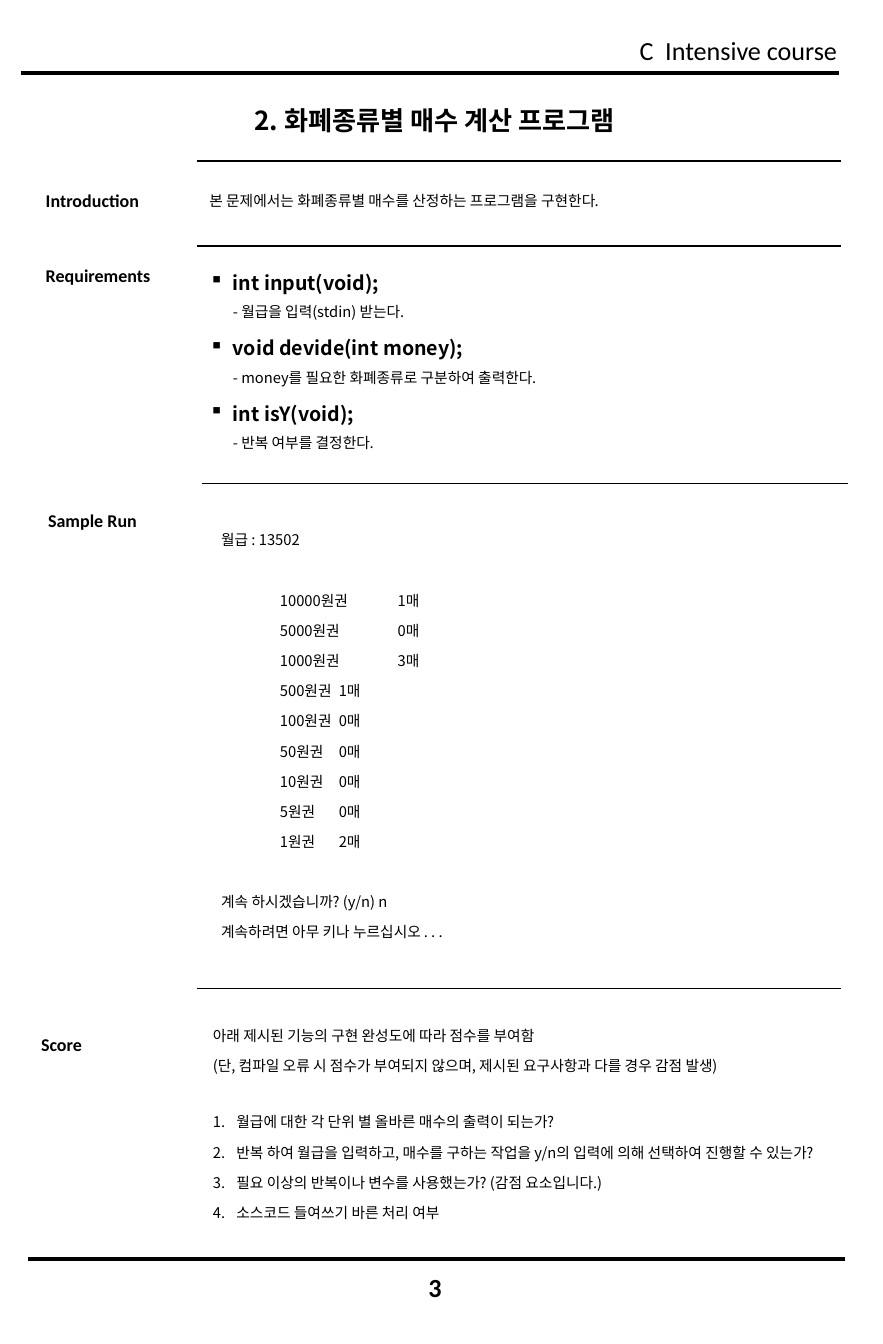
from lxml.etree import SubElement
from pptx import Presentation
from pptx.dml.color import RGBColor
from pptx.enum.shapes import MSO_CONNECTOR
from pptx.enum.text import PP_ALIGN
from pptx.oxml import parse_xml
from pptx.oxml.ns import nsdecls, qn
from pptx.util import Pt

PX = 9144  # 100 px to the inch
COLORS = {"ink": "000000"}
INK = RGBColor.from_string(COLORS["ink"])
LATIN, KOREAN = "Calibri", "Noto Sans CJK KR"
HANG = 20

prs = Presentation()
prs.slide_width, prs.slide_height = 750 * PX, 1142 * PX
s = prs.slides.add_slide(prs.slide_layouts[6])


def add_text(x, y, w, h, lines, size, name=KOREAN, bold=False,
             align=PP_ALIGN.LEFT, spacing=None, before=0):
    """Add a wrapped text box with one paragraph per line; return its paragraphs."""
    tf = s.shapes.add_textbox(x * PX, y * PX, w * PX, h * PX).text_frame
    tf.word_wrap = True
    for i, line in enumerate(lines):
        p = tf.paragraphs[0] if i == 0 else tf.add_paragraph()
        p.text = line
        p.alignment = align
        p.line_spacing = spacing
        p.space_before = Pt(before)
        p.font.size, p.font.bold, p.font.name = Pt(size), bold, name
        p.font.color.rgb = INK
        SubElement(p._p.pPr.find(qn("a:defRPr")), qn("a:ea"), typeface=name)
    return tf.paragraphs


def add_props(p, xml, indent=0):
    """Put bullet or tab elements, in schema order, before the paragraph's font."""
    pPr = p._p.pPr
    pPr.set("marL", str(indent * PX))
    pPr.set("indent", str(-indent * PX))
    for element in list(parse_xml(f"<a:pPr {nsdecls('a')}>{xml}</a:pPr>")):
        pPr.find(qn("a:defRPr")).addprevious(element)


# Rules: page header and footer, then section dividers
for x1, x2, y, weight in [(18, 713, 62, 2.25), (24, 718, 1070, 2.25),
                          (167, 714, 137, 1), (167, 714, 209, 1),
                          (172, 720, 411, 1), (167, 714, 840, 1)]:
    rule = s.shapes.add_connector(MSO_CONNECTOR.STRAIGHT, x1 * PX, y * PX, x2 * PX, y * PX)
    rule.line.color.rgb = INK
    rule.line.width = Pt(weight)
    SubElement(rule._element.spPr, qn("a:effectLst"))

# Header, title and page number
add_text(381, 24, 340, 37, ["C  Intensive course"], 16, LATIN, align=PP_ALIGN.RIGHT)
add_text(31, 84, 676, 37, ["2. 화폐종류별 매수 계산 프로그램"], 16, bold=True,
         align=PP_ALIGN.CENTER)
add_text(240, 1075, 259, 36, ["3"], 16, LATIN, True, PP_ALIGN.CENTER)

# Section labels
for label, x, y in [("Introduction", 29, 156), ("Requirements", 29, 220),
                    ("Sample Run", 31, 428), ("Score", 25, 873)]:
    add_text(x, y, 142, 43, [label], 11, LATIN, True, before=2.8)

# Introduction
add_text(168, 155, 550, 28, ["본 문제에서는 화폐종류별 매수를 산정하는 프로그램을 구현한다."], 9,
         align=PP_ALIGN.JUSTIFY, spacing=1.2, before=2.2)

# Requirements
requirements = [
    ("int input(void);", "- 월급을 입력(stdin) 받는다."),
    ("void devide(int money);", "- money를 필요한 화폐종류로 구분하여 출력한다."),
    ("int isY(void);", "- 반복 여부를 결정한다."),
]
for p in add_text(168, 215, 546, 174, [f"{sig}\v{note}" for sig, note in requirements],
                  9, spacing=1.5, before=2.2):
    signature = p.runs[0]
    signature.font.size, signature.font.bold = Pt(12), True
    add_props(p, f'<a:buClr><a:srgbClr val="{COLORS["ink"]}"/></a:buClr>'
                 '<a:buChar char="▪"/>', indent=HANG)

# Sample run
counts = [(10000, 1), (5000, 0), (1000, 3), (500, 1), (100, 0),
          (50, 0), (10, 0), (5, 0), (1, 2)]
output = ["월급 : 13502",
          *[f"\t{won}원권\t{count}매" for won, count in counts],
          "계속 하시겠습니까? (y/n) n",
          "계속하려면 아무 키나 누르십시오 . . ."]
sample = add_text(178, 439, 546, 367, output, 9, spacing=1.5, before=2.2)
for p, (won, count) in zip(sample[1:], counts):
    digits = len(str(won))
    stops = [(6 - digits) * 2.8, 55.5 + digits * 4.4]
    tabs = "".join(f'<a:tab pos="{round(stop * PX)}" algn="l"/>' for stop in stops)
    add_props(p, f"<a:tabLst>{tabs}</a:tabLst>")
for p in (sample[1], sample[-2]):
    p.space_before = Pt(20.6)

# Score
criteria = [
    "월급에 대한 각 단위 별 올바른 매수의 출력이 되는가?",
    "반복 하여 월급을 입력하고, 매수를 구하는 작업을 y/n의 입력에 의해 선택하여 진행할 수 있는가?",
    "필요 이상의 반복이나 변수를 사용했는가? (감점 요소입니다.)",
    "소스코드 들여쓰기 바른 처리 여부",
]
score = add_text(171, 860, 546, 206, [
    "아래 제시된 기능의 구현 완성도에 따라 점수를 부여함",
    "(단, 컴파일 오류 시 점수가 부여되지 않으며, 제시된 요구사항과 다를 경우 감점 발생)",
    *criteria], 9, spacing=1.5, before=2.2)
for p in score[2:]:
    add_props(p, '<a:buFont typeface="+mj-lt"/><a:buAutoNum type="arabicPeriod"/>',
              indent=HANG)
score[2].space_before = Pt(18.2)

prs.save("out.pptx")
